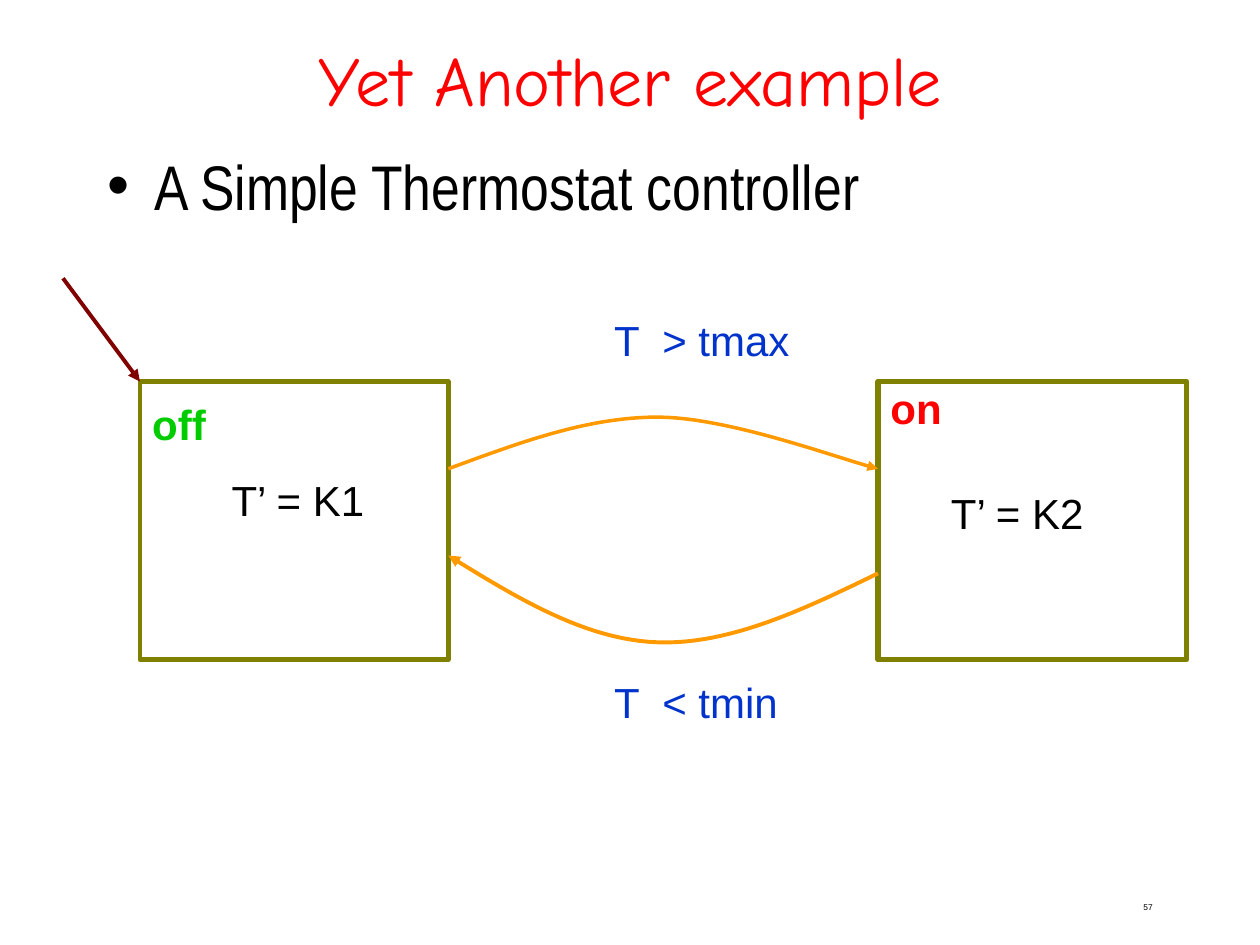
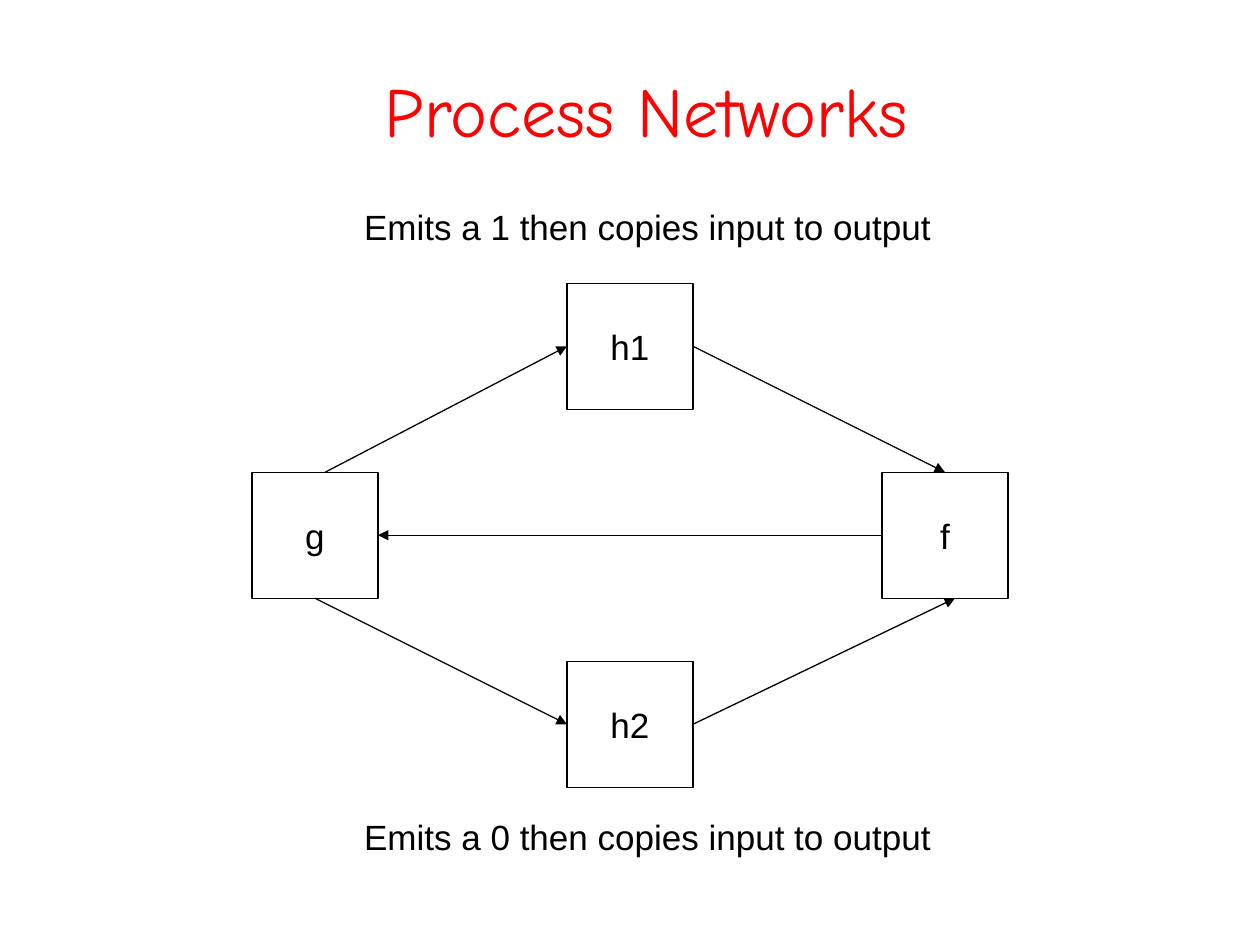
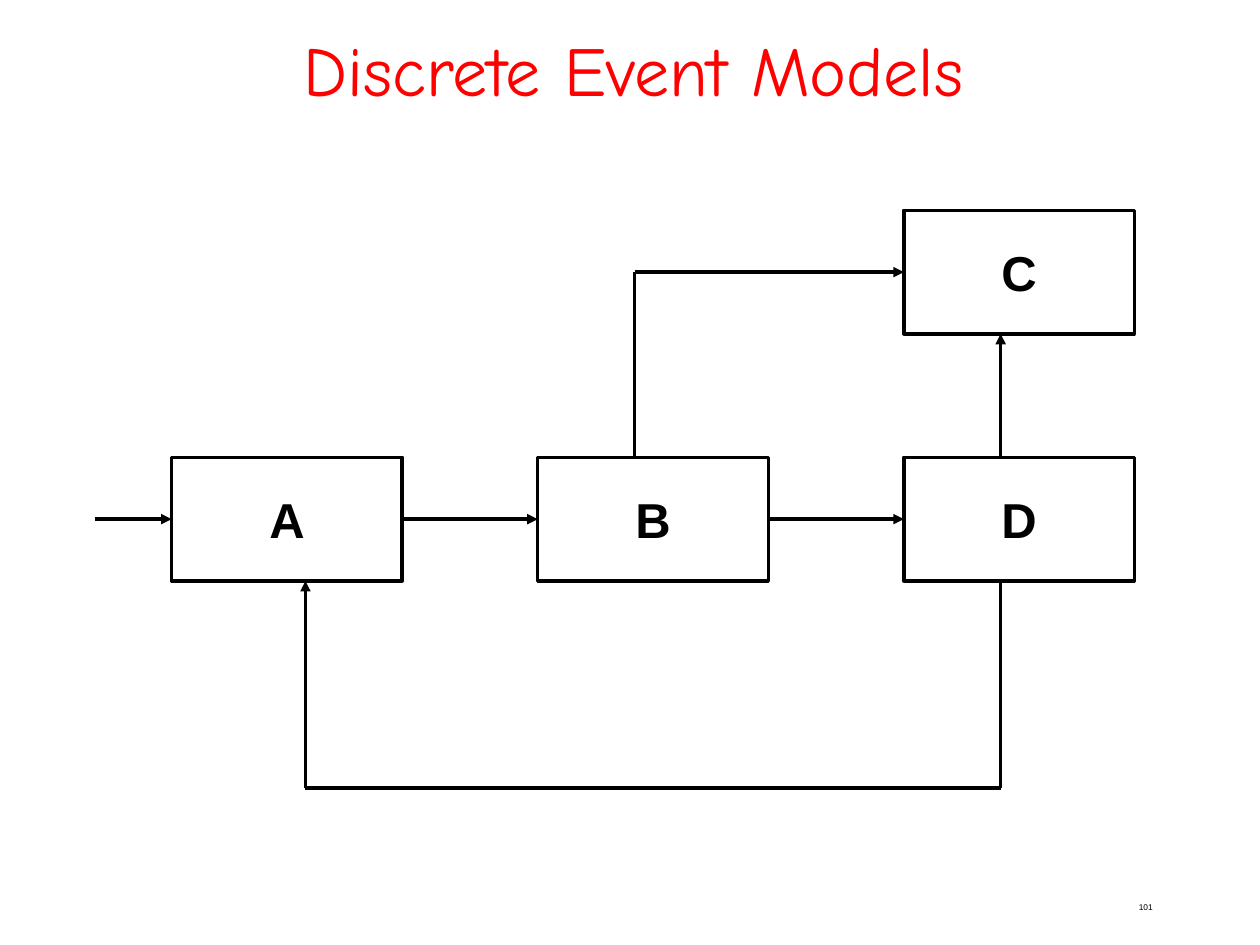
from dataclasses import dataclass

from lxml import etree
from pptx import Presentation
from pptx.dml.color import RGBColor
from pptx.enum.shapes import MSO_CONNECTOR, MSO_SHAPE
from pptx.enum.text import MSO_ANCHOR, MSO_AUTO_SIZE, PP_ALIGN
from pptx.oxml.ns import qn
from pptx.util import Cm, Pt

RECTANGLE = MSO_SHAPE.RECTANGLE
STRAIGHT = MSO_CONNECTOR.STRAIGHT
TOP, MIDDLE = MSO_ANCHOR.TOP, MSO_ANCHOR.MIDDLE
LEFT, CENTER, RIGHT = PP_ALIGN.LEFT, PP_ALIGN.CENTER, PP_ALIGN.RIGHT
NO_FIT, GROW = MSO_AUTO_SIZE.NONE, MSO_AUTO_SIZE.SHAPE_TO_FIT_TEXT


@dataclass(frozen=True)
class Theme:
    # Colours
    title: str = "FF0000"
    text: str = "000000"
    state: str = "808000"
    start: str = "800000"
    transition: str = "FF9900"
    guard: str = "0033CC"
    on: str = "FF0000"
    off: str = "00CC00"
    # Fonts
    title_font: str = "Comic Neue"
    bullet_font: str = "Arial Narrow"
    font: str = "Arial"
    # Type sizes in points
    title_size: float = 40
    bullet_size: float = 36
    event_size: float = 28
    label_size: float = 24
    process_size: float = 20
    number_size: float = 4.8


THEME = Theme()


@dataclass(frozen=True)
class Box:
    """A rectangle in centimetres."""
    left: float
    top: float
    width: float
    height: float

    def inner(self, left, top, width, height):
        return Box(self.left + left, self.top + top, width, height)

    def point(self, x, y):
        return self.left + x, self.top + y

    def port(self, across, down):
        """A point at a fraction of the width and height."""
        return self.point(self.width * across, self.height * down)

    def lengths(self):
        return Cm(self.left), Cm(self.top), Cm(self.width), Cm(self.height)


# Shared text and line helpers
def format_text(shape, text, size, color=THEME.text, font=THEME.font,
                bold=False, align=LEFT, anchor=TOP):
    frame = shape.text_frame
    frame.text = text
    frame.vertical_anchor = anchor
    paragraph = frame.paragraphs[0]
    paragraph.alignment = align
    run_font = paragraph.runs[0].font
    run_font.name, run_font.size, run_font.bold = font, Pt(size), bold
    run_font.color.rgb = RGBColor.from_string(color)
    return paragraph


def add_text(slide, box, text, size, wrap=True, **style):
    shape = slide.shapes.add_textbox(*box.lengths())
    shape.text_frame.word_wrap = wrap
    shape.text_frame.auto_size = NO_FIT if wrap else GROW
    return format_text(shape, text, size, **style)


def add_label(slide, box, text, size=THEME.label_size, **style):
    add_text(slide, box, text, size, wrap=False, **style)


def set_line(shape, color, width, arrow=False):
    shape.line.color.rgb = RGBColor.from_string(color)
    shape.line.width = Pt(width)
    if arrow:
        outline = shape.element.find(qn("p:spPr")).find(qn("a:ln"))
        etree.SubElement(outline, qn("a:tailEnd"), type="triangle")


def add_frame(slide, box, color, width):
    shape = slide.shapes.add_shape(RECTANGLE, *box.lengths())
    shape.shadow.inherit = False
    shape.fill.background()
    set_line(shape, color, width)
    return shape


def add_node(slide, box, name, size, width, bold=False):
    shape = add_frame(slide, box, THEME.text, width)
    shape.text_frame.word_wrap = False
    format_text(shape, name, size, bold=bold, align=CENTER, anchor=MIDDLE)


def add_path(slide, points, width, color=THEME.text):
    """Straight connectors through the points, with an arrowhead at the end."""
    for start, end in zip(points, points[1:]):
        ends = [Cm(value) for value in (*start, *end)]
        connector = slide.shapes.add_connector(STRAIGHT, *ends)
        set_line(connector, color, width, arrow=end == points[-1])
        properties = connector.element.find(qn("p:spPr"))
        etree.SubElement(properties, qn("a:effectLst"))


def add_curve(slide, points, width, color, steps=24):
    """A chain of cubic curves, with an arrowhead at the end."""
    traced = []
    for first in range(0, len(points) - 1, 3):
        for step in range(1, steps + 1):
            t = step / steps
            weights = ((1 - t) ** 3, 3 * t * (1 - t) ** 2,
                       3 * t * t * (1 - t), t ** 3)
            controls = points[first:first + 4]
            traced.append([Cm(sum(weight * control[axis] for weight, control
                                  in zip(weights, controls)))
                           for axis in (0, 1)])
    builder = slide.shapes.build_freeform(*map(Cm, points[0]))
    builder.add_line_segments(traced, close=False)
    shape = builder.convert_to_shape()
    shape.shadow.inherit = False
    shape.fill.background()
    set_line(shape, color, width, arrow=True)


# Shared slide parts
def add_slide(presentation, title, title_box, number=None):
    slide = presentation.slides.add_slide(presentation.slide_layouts[6])
    if number:
        paragraph = add_text(slide, Box(18.21, 18.11, 5.28, 0.51), number,
                             THEME.number_size, align=RIGHT)
        paragraph.line_spacing = 0.8
    add_text(slide, title_box, title, THEME.title_size, color=THEME.title,
             font=THEME.title_font, align=CENTER, anchor=MIDDLE)
    return slide


def add_bullet(slide, box, text):
    paragraph = add_text(slide, box, text, THEME.bullet_size,
                         font=THEME.bullet_font)
    properties = paragraph._p.get_or_add_pPr()
    indent = Cm(0.95)
    properties.set("marL", str(indent))
    properties.set("indent", str(-indent))
    etree.SubElement(properties, qn("a:buFont"), typeface=THEME.font)
    etree.SubElement(properties, qn("a:buChar"), char="•")


# Thermostat automaton
def add_state(slide, box, width, name, color, name_top, rule, rule_at):
    add_frame(slide, box, THEME.state, width)
    add_label(slide, box.inner(0, name_top, 1.65, 1.27), name,
              color=color, bold=True)
    add_label(slide, box.inner(*rule_at, 3.2, 1.27), rule)


def thermostat(slide, box):
    off = box.inner(1.55, 2.08, 6.22, 5.61)
    on = box.inner(16.43, 2.08, 6.22, 5.61)
    add_state(slide, off, 2.5, "off", THEME.off, 0.21, "T’ = K1", (1.6, 1.76))
    add_state(slide, on, 3, "on", THEME.on, -0.1, "T’ = K2", (1.22, 2.01))
    add_path(slide, [box.point(0, 0), off.port(0, 0)], 2.25, THEME.start)

    # Transitions between the states
    to_on = [(7.77, 3.84), (9.17, 3.33), (10.54, 2.8), (11.99, 2.8),
             (13.44, 2.8), (15.7, 3.66), (16.43, 3.84)]
    to_off = [(16.43, 5.95), (14.93, 6.68), (13.44, 7.39), (11.99, 7.34),
              (10.54, 7.29), (9.17, 6.46), (7.77, 5.59)]
    for points, width in ((to_on, 2), (to_off, 2.25)):
        add_curve(slide, [box.point(*point) for point in points], width,
                  THEME.transition)
    for text, top, width in (("T  > tmax", 0.61, 4.06),
                             ("T  < tmin", 7.9, 3.81)):
        add_label(slide, box.inner(10.86, top, width, 1.27), text,
                  color=THEME.guard)


# Diamond of four processes
def process_network(slide, box):
    side, column, row, first_row = 2.54, 6.35, 3.81, 1.7
    cells = {"g": (0, 1), "h2": (1, 2), "h1": (1, 0), "f": (2, 1)}
    nodes = {name: box.inner(x * column, first_row + y * row, side, side)
             for name, (x, y) in cells.items()}
    for name, node in nodes.items():
        add_node(slide, node, name, THEME.process_size, 0.75)

    # Channels
    g, h1, h2, f = (nodes[name] for name in ("g", "h1", "h2", "f"))
    for start, end in (
        (g.port(0.58, 0), h1.port(0, 0.5)),
        (h1.port(1, 0.5), f.port(0.5, 0)),
        (f.port(0, 0.5), g.port(1, 0.5)),
        (g.port(0.5, 1), h2.port(0, 0.5)),
        (h2.port(1, 0.5), f.port(0.58, 1)),
    ):
        add_path(slide, [start, end], 0.75)

    # Captions above and below
    caption_height = 1.12
    for value, top in ((1, 0), (0, box.height - caption_height)):
        add_label(slide, box.inner(2.01, top, 11.94, caption_height),
                  f"Emits a {value} then copies input to output",
                  THEME.process_size)


# Event blocks with feedback
def event_model(slide, box):
    first_column, column, row = 1.55, 7.38, 4.98
    cells = {"A": (0, 1), "B": (1, 1), "C": (2, 0), "D": (2, 1)}
    blocks = {name: box.inner(first_column + x * column, y * row, 4.65, 2.49)
              for name, (x, y) in cells.items()}
    for name, block in blocks.items():
        add_node(slide, block, name, THEME.event_size, 2, bold=True)

    # Signals between the blocks
    a, b, c, d = blocks.values()
    near, far = 0.42, 0.58
    corner = b.port(near, 0)[0], c.port(0, 0.5)[1]
    bottom = box.top + box.height
    for points in (
        [(box.left, a.port(0, 0.5)[1]), a.port(0, 0.5)],
        [a.port(1, 0.5), b.port(0, 0.5)],
        [b.port(1, 0.5), d.port(0, 0.5)],
        [b.port(near, 0), corner, c.port(0, 0.5)],
        [d.port(near, 0), c.port(near, 1)],
        [d.port(near, 1), (d.port(near, 1)[0], bottom),
         (a.port(far, 1)[0], bottom), a.port(far, 1)],
    ):
        add_path(slide, points, 2)


def main():
    presentation = Presentation()
    presentation.slide_width, presentation.slide_height = Cm(25.4), Cm(19.05)

    slide = add_slide(presentation, "Yet Another example",
                      Box(1.91, 0.84, 21.59, 1.47), "57")
    add_bullet(slide, Box(1.91, 2.84, 21.59, 12.07),
               "A Simple Thermostat controller")
    thermostat(slide, Box(1.27, 5.61, 22.65, 9.2))

    slide = add_slide(presentation, "Process Networks",
                      Box(1.91, 1.42, 22.23, 1.57))
    process_network(slide, Box(5.08, 4.01, 15.24, 13.42))

    slide = add_slide(presentation, "Discrete Event Models",
                      Box(1.98, 0.64, 21.59, 1.47), "101")
    event_model(slide, Box(1.91, 4.24, 20.95, 11.64))

    presentation.save("out.pptx")


if __name__ == "__main__":
    main()
